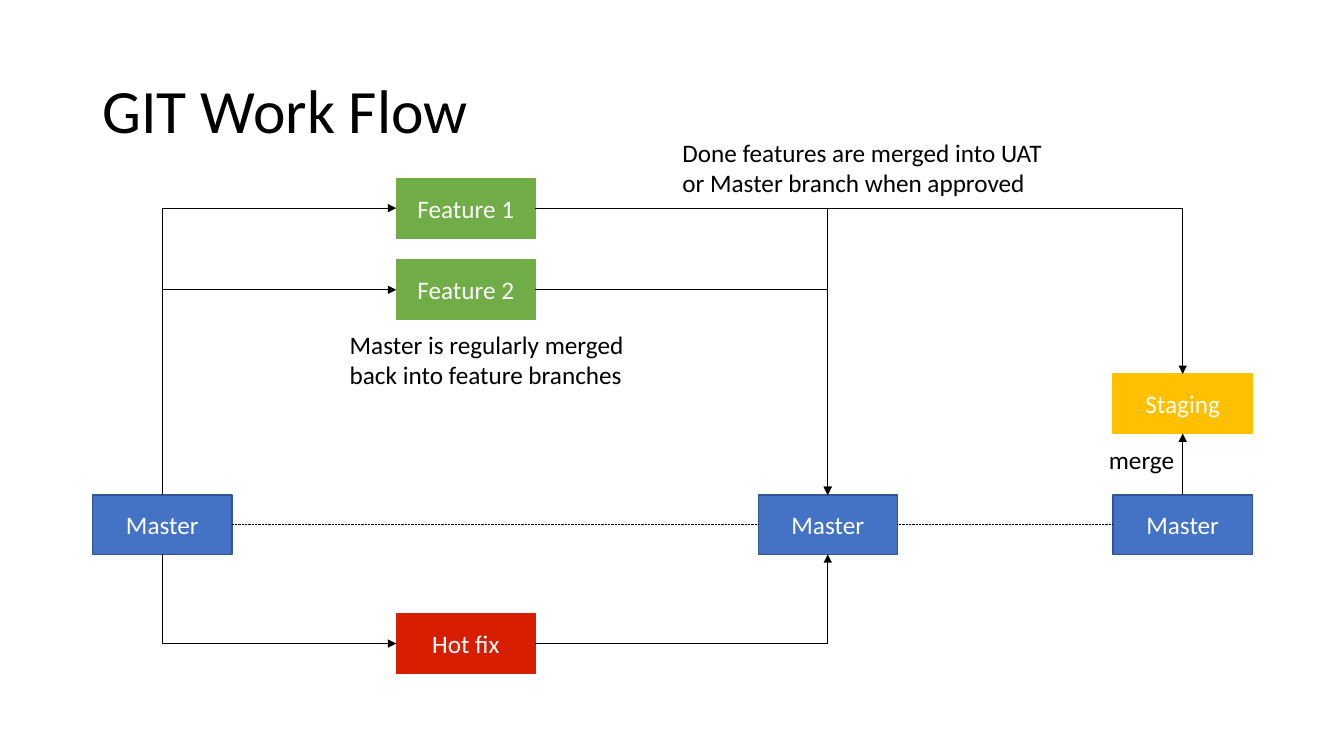
from lxml.etree import SubElement
from pptx import Presentation
from pptx.dml.color import RGBColor
from pptx.enum.dml import MSO_LINE
from pptx.enum.shapes import MSO_CONNECTOR, MSO_SHAPE
from pptx.enum.text import MSO_ANCHOR, PP_ALIGN
from pptx.oxml.ns import qn
from pptx.util import Inches, Pt

COLORS = {
    "black": "000000",
    "white": "FFFFFF",
    "master": "4472C4",
    "master_line": "325491",
    "feature": "70AD47",
    "hotfix": "D81E01",
    "staging": "FFC000",
}
BOX_W, BOX_H = 1.38, 0.59
START_X, WORK_X, MERGE_X, STAGE_X = 0.92, 3.93, 7.52, 11.04
MASTER_Y = 4.91
TOP, LEFT, BOTTOM, RIGHT = range(4)  # connection sites of a rectangle


def rgb(name):
    return RGBColor.from_string(COLORS[name])


def style(p, size, color):
    p.font.name = "Calibri"
    p.font.size = Pt(size)
    p.font.color.rgb = rgb(color)


def add_box(slide, text, x, y, fill, line=None):
    s = slide.shapes.add_shape(
        MSO_SHAPE.RECTANGLE, Inches(x), Inches(y), Inches(BOX_W), Inches(BOX_H))
    s.shadow.inherit = False
    s.fill.solid()
    s.fill.fore_color.rgb = rgb(fill)
    s.line.color.rgb = rgb(line or fill)
    s.line.width = Pt(1)
    tf = s.text_frame
    tf.vertical_anchor = MSO_ANCHOR.MIDDLE
    p = tf.paragraphs[0]
    p.text = text
    p.alignment = PP_ALIGN.CENTER
    style(p, 18, "white")
    return s


def add_text(slide, text, x, y, w, h, size=18, anchor=MSO_ANCHOR.TOP, spacing=None):
    tf = slide.shapes.add_textbox(
        Inches(x), Inches(y), Inches(w), Inches(h)).text_frame
    tf.word_wrap = True
    tf.vertical_anchor = anchor
    p = tf.paragraphs[0]
    p.text = text
    p.line_spacing = spacing
    style(p, size, "black")


def add_link(slide, begin, begin_site, end, end_site, arrow=None, bent=False):
    """Join two boxes; a bent link runs across first, then up or down."""
    kind = MSO_CONNECTOR.ELBOW if bent else MSO_CONNECTOR.STRAIGHT
    s = slide.shapes.add_connector(kind, 0, 0, 0, 0)
    s.begin_connect(begin, begin_site)
    s.end_connect(end, end_site)
    s.line.color.rgb = rgb("black")
    s.line.width = Pt(0.5)
    spPr = s.element.spPr
    if bent:
        spPr.find(qn("a:prstGeom")).set("prst", "bentConnector2")
    if arrow:
        SubElement(spPr.find(qn("a:ln")), qn(f"a:{arrow}")).set("type", "triangle")
    else:
        s.line.dash_style = MSO_LINE.ROUND_DOT
    SubElement(spPr, qn("a:effectLst"))


def main():
    prs = Presentation()
    prs.slide_width, prs.slide_height = Inches(13.33), Inches(7.5)
    slide = prs.slides.add_slide(prs.slide_layouts[6])

    # Title
    add_text(slide, "GIT Work Flow", 0.92, 0.4, 11.5, 1.45, 44,
             MSO_ANCHOR.MIDDLE, 0.9)

    # Branches
    start, merged, last = [
        add_box(slide, "Master", x, MASTER_Y, "master", "master_line")
        for x in (START_X, MERGE_X, STAGE_X)]
    feature1 = add_box(slide, "Feature 1", WORK_X, 1.77, "feature")
    feature2 = add_box(slide, "Feature 2", WORK_X, 2.58, "feature")
    hotfix = add_box(slide, "Hot fix", WORK_X, 6.09, "hotfix")
    staging = add_box(slide, "Staging", STAGE_X, 3.71, "staging")

    # Branching off master and merging back
    for work, side in ((feature1, TOP), (feature2, TOP), (hotfix, BOTTOM)):
        add_link(slide, work, LEFT, start, side, "headEnd", bent=True)
        add_link(slide, work, RIGHT, merged, side, "tailEnd", bent=True)

    # Into staging
    add_link(slide, feature1, RIGHT, staging, TOP, "tailEnd", bent=True)
    add_link(slide, last, TOP, staging, BOTTOM, "tailEnd")

    # Master timeline
    add_link(slide, start, RIGHT, merged, LEFT)
    add_link(slide, merged, RIGHT, last, LEFT)

    # Notes on the flow
    add_text(slide, "merge", 10.9, 4.36, 0.97, 0.4)
    add_text(slide, "Master is regularly merged back into feature branches",
             3.37, 3.22, 3.08, 0.71)
    add_text(slide, "Done features are merged into UAT or Master branch when approved",
             6.67, 1.31, 3.87, 0.71)

    prs.save("out.pptx")


if __name__ == "__main__":
    main()
